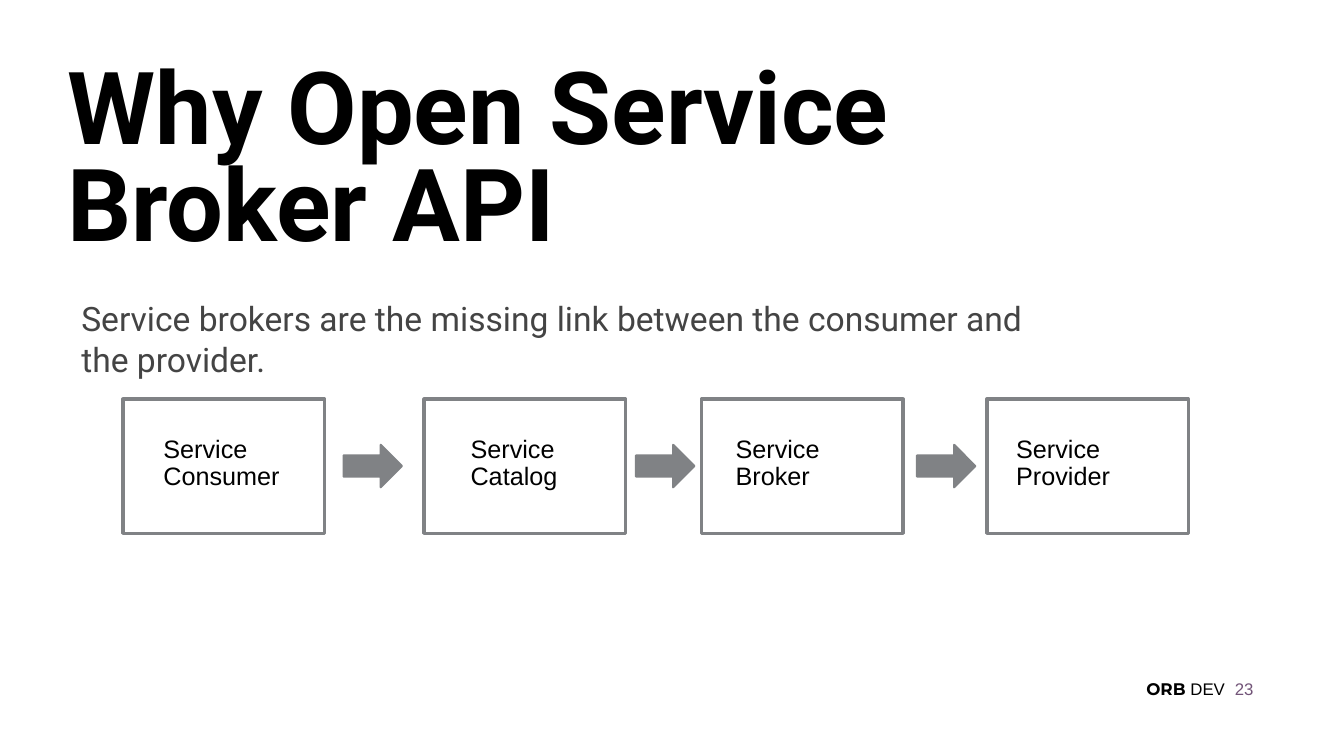
from dataclasses import dataclass

from pptx import Presentation
from pptx.dml.color import RGBColor
from pptx.enum.shapes import MSO_SHAPE
from pptx.enum.text import MSO_ANCHOR, PP_ALIGN
from pptx.util import Cm, Pt


@dataclass(frozen=True)
class Theme:
    black: RGBColor = RGBColor(0x00, 0x00, 0x00)
    body: RGBColor = RGBColor(0x44, 0x44, 0x44)
    grey: RGBColor = RGBColor(0x80, 0x82, 0x85)
    purple: RGBColor = RGBColor(0x72, 0x54, 0x78)
    heading_font: str = "Roboto"
    label_font: str = "Arial"
    brand_font: str = "Montserrat"
    title_size: Pt = Pt(72)
    body_size: Pt = Pt(24)
    label_size: Pt = Pt(18)
    footer_size: Pt = Pt(12)


THEME = Theme()

# Each service: name, left of its box, indent of its label (cm)
SERVICES = [
    ("Consumer", 0, 1.02),
    ("Catalog", 7.59, 1.17),
    ("Broker", 14.58, 0.86),
    ("Provider", 21.77, 0.74),
]
ARROW_LEFTS = [5.56, 12.93, 20.01]


def style(font, name, size, color, bold=False):
    font.name = name
    font.size = size
    font.color.rgb = color
    font.bold = bold


def add_text(slide, box, lines, name, size, color, bold=False, spacing=None, inset=True):
    """Place one paragraph per line in box (left, top, width, height in cm)."""
    shape = slide.shapes.add_textbox(*map(Cm, box))
    frame = shape.text_frame
    frame.word_wrap = True
    if not inset:
        frame.margin_left = frame.margin_right = 0
        frame.margin_top = frame.margin_bottom = 0
    frame.text = "\n".join(lines)
    for paragraph in frame.paragraphs:
        paragraph.line_spacing = spacing
        style(paragraph.font, name, size, color, bold)
    return frame


def add_block(slide, kind, box, line_width, fill=None):
    shape = slide.shapes.add_shape(kind, *map(Cm, box))
    shape.shadow.inherit = False
    if fill is None:
        shape.fill.background()
    else:
        shape.fill.solid()
        shape.fill.fore_color.rgb = fill
    shape.line.color.rgb = THEME.grey
    shape.line.width = line_width


def add_heading(slide, left, top):
    add_text(slide, (left, top, 28.14, 5.38), ["Why Open Service Broker API"],
             THEME.heading_font, THEME.title_size, THEME.black,
             bold=True, spacing=0.8, inset=False)
    add_text(slide, (left + 0.1, top + 5.69, 25.4, 1.27),
             ["Service brokers are the missing link between the consumer and the provider."],
             THEME.heading_font, THEME.body_size, THEME.body)


def add_service_chain(slide, left, top):
    # Boxes with their labels
    for name, offset, indent in SERVICES:
        box_left = left + offset
        add_block(slide, MSO_SHAPE.RECTANGLE, (box_left, top, 5.08, 3.38), Pt(2.5))
        add_text(slide, (box_left + indent, top + 0.94, 3.18, 1.27), ["Service", name],
                 THEME.label_font, THEME.label_size, THEME.black,
                 spacing=0.9, inset=False)
    # Arrows between the boxes
    for offset in ARROW_LEFTS:
        add_block(slide, MSO_SHAPE.RIGHT_ARROW, (left + offset, top + 1.15, 1.47, 1.07),
                  Pt(1.5), THEME.grey)


def add_footer(slide, left, top):
    height = 0.84
    label = add_text(slide, (left, top, 11.18, height), [""],
                     THEME.label_font, THEME.footer_size, THEME.black)
    label.vertical_anchor = MSO_ANCHOR.MIDDLE
    paragraph = label.paragraphs[0]
    paragraph.alignment = PP_ALIGN.RIGHT
    brand = paragraph.add_run()
    brand.text = "ORB "
    brand.font.name = THEME.brand_font
    brand.font.bold = True
    paragraph.add_run().text = "DEV"

    number = add_text(slide, (left + 11.18, top, 1.09, height), ["23"],
                      THEME.label_font, THEME.footer_size, THEME.purple, inset=False)
    number.vertical_anchor = MSO_ANCHOR.MIDDLE


def main():
    presentation = Presentation()
    presentation.slide_width = Cm(33.87)
    presentation.slide_height = Cm(19.05)
    slide = presentation.slides.add_slide(presentation.slide_layouts[6])
    add_heading(slide, 1.7, 1.7)
    add_service_chain(slide, 3.1, 10.06)
    add_footer(slide, 19.94, 16.94)
    presentation.save("out.pptx")


if __name__ == "__main__":
    main()
